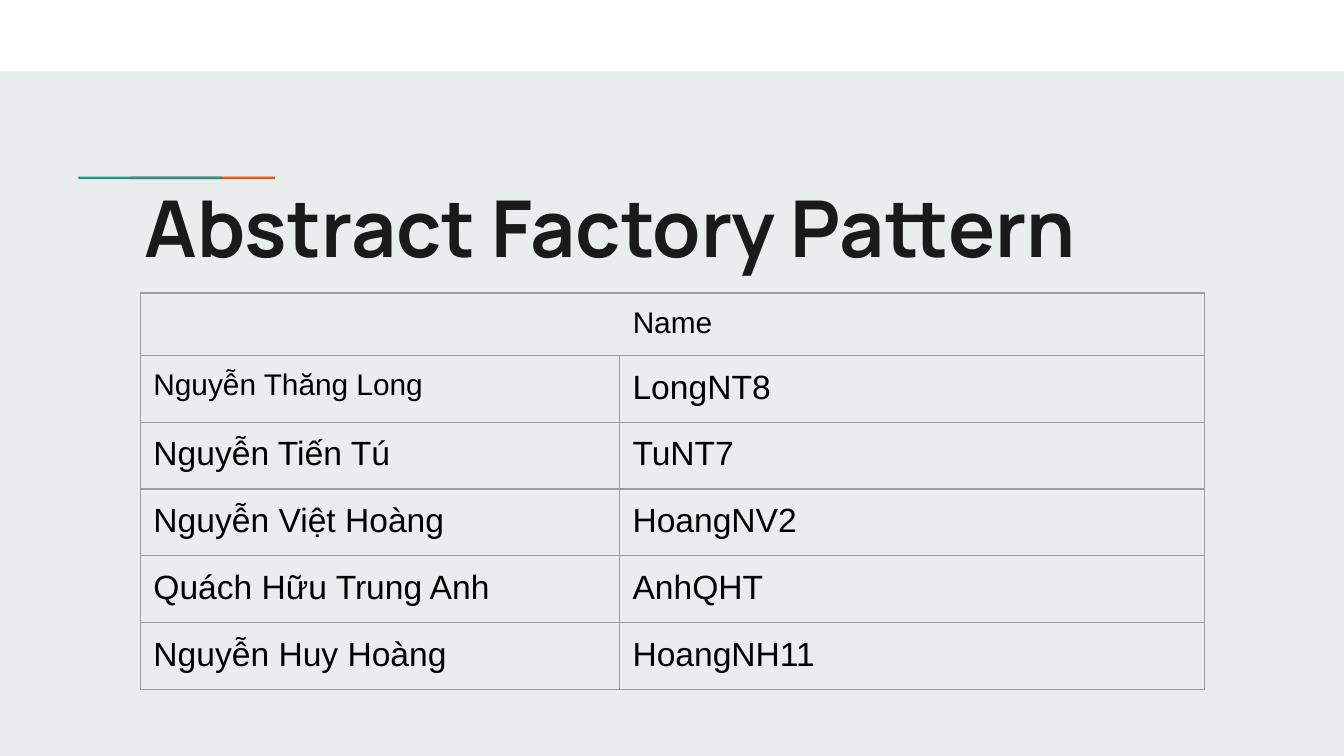
from lxml.etree import SubElement
from pptx import Presentation
from pptx.dml.color import RGBColor
from pptx.enum.shapes import MSO_SHAPE
from pptx.enum.text import PP_ALIGN
from pptx.oxml.ns import qn
from pptx.util import Cm, Pt

WHITE = RGBColor(0xFF, 0xFF, 0xFF)
BLACK = RGBColor(0x00, 0x00, 0x00)
INK = RGBColor(0x1A, 0x1A, 0x1A)
MIST = RGBColor(0xE9, 0xED, 0xEE)
TEAL = RGBColor(0x1A, 0x99, 0x88)
ORANGE = RGBColor(0xEB, 0x56, 0x00)
GREY = RGBColor(0x9E, 0x9E, 0x9E)

INSET = Cm(0.25)
MEMBERS = [
    ("Nguyễn Thăng Long", "LongNT8"),
    ("Nguyễn Tiến Tú", "TuNT7"),
    ("Nguyễn Việt Hoàng", "HoangNV2"),
    ("Quách Hữu Trung Anh", "AnhQHT"),
    ("Nguyễn Huy Hoàng", "HoangNH11"),
]


def write_text(frame, text, size=18, font="Arial", color=BLACK, bold=False, align=PP_ALIGN.LEFT):
    """Fill a text frame with one formatted paragraph."""
    frame.word_wrap = True
    para = frame.paragraphs[0]
    para.alignment = align
    span = para.add_run()
    span.text = text
    span.font.size = Pt(size)
    span.font.name = font
    span.font.bold = bold
    span.font.color.rgb = color


def add_bar(slide, left, top, width, height, color):
    """Place a plain filled rectangle."""
    bar = slide.shapes.add_shape(MSO_SHAPE.RECTANGLE, left, top, width, height)
    bar.shadow.inherit = False
    bar.fill.solid()
    bar.fill.fore_color.rgb = color
    bar.line.fill.background()


def add_accent(slide, left, top, width, height):
    """Place two overlapping bars, teal over orange, above the title."""
    bar_width = int(width * 0.73)
    add_bar(slide, left + width - bar_width, top, bar_width, height, ORANGE)
    add_bar(slide, left, top, bar_width, height, TEAL)


def add_title(slide, left, top, width, height):
    """Place the slide title."""
    box = slide.shapes.add_textbox(left, top, width, height)
    frame = box.text_frame
    frame.margin_left = frame.margin_right = frame.margin_top = frame.margin_bottom = INSET
    write_text(frame, "Abstract Factory Pattern", size=42, font="Manrope", color=INK, bold=True)


def style_cell(cell):
    """Give a cell grey borders and no fill, and even margins if it shows."""
    properties = cell._tc.get_or_add_tcPr()
    for side in ("a:lnL", "a:lnR", "a:lnT", "a:lnB"):
        line = SubElement(properties, qn(side), w=str(Pt(0.75)))
        fill = SubElement(line, qn("a:solidFill"))
        SubElement(fill, qn("a:srgbClr"), val=str(GREY))
    cell.fill.background()
    if not cell.is_spanned:
        cell.margin_left = cell.margin_right = cell.margin_top = cell.margin_bottom = INSET


def add_members(slide, left, top, width, height):
    """Place the table of member names and accounts."""
    row_count = len(MEMBERS) + 1
    table = slide.shapes.add_table(row_count, 3, left, top, width, height).table
    table.first_row = table.horz_banding = False
    for column, share in zip(table.columns, (0.45, 0.217, 0.333)):
        column.width = int(width * share)

    table.cell(0, 0).merge(table.cell(0, 2))
    write_text(table.cell(0, 0).text_frame, "Name", size=16, align=PP_ALIGN.CENTER)
    for index, (name, account) in enumerate(MEMBERS, start=1):
        table.cell(index, 1).merge(table.cell(index, 2))
        write_text(table.cell(index, 0).text_frame, name, size=16 if index == 1 else 18)
        write_text(table.cell(index, 1).text_frame, account)

    header_height = Cm(1.13)
    for index, row in enumerate(table.rows):
        row.height = header_height if index == 0 else (height - header_height) // len(MEMBERS)
        for cell in row.cells:
            style_cell(cell)


def main():
    """Build and save the deck."""
    deck = Presentation()
    deck.slide_width, deck.slide_height = Cm(25.4), Cm(14.29)
    slide = deck.slides.add_slide(deck.slide_layouts[6])
    slide.background.fill.solid()
    slide.background.fill.fore_color.rgb = MIST
    add_bar(slide, 0, 0, deck.slide_width, Cm(1.35), WHITE)
    add_accent(slide, Cm(1.48), Cm(3.34), Cm(3.72), Cm(0.05))
    add_title(slide, Cm(2.49), Cm(3.14), Cm(21.36), Cm(4.62))
    add_members(slide, Cm(2.65), Cm(5.54), Cm(20.12), Cm(7.23))
    deck.save("out.pptx")


if __name__ == "__main__":
    main()
